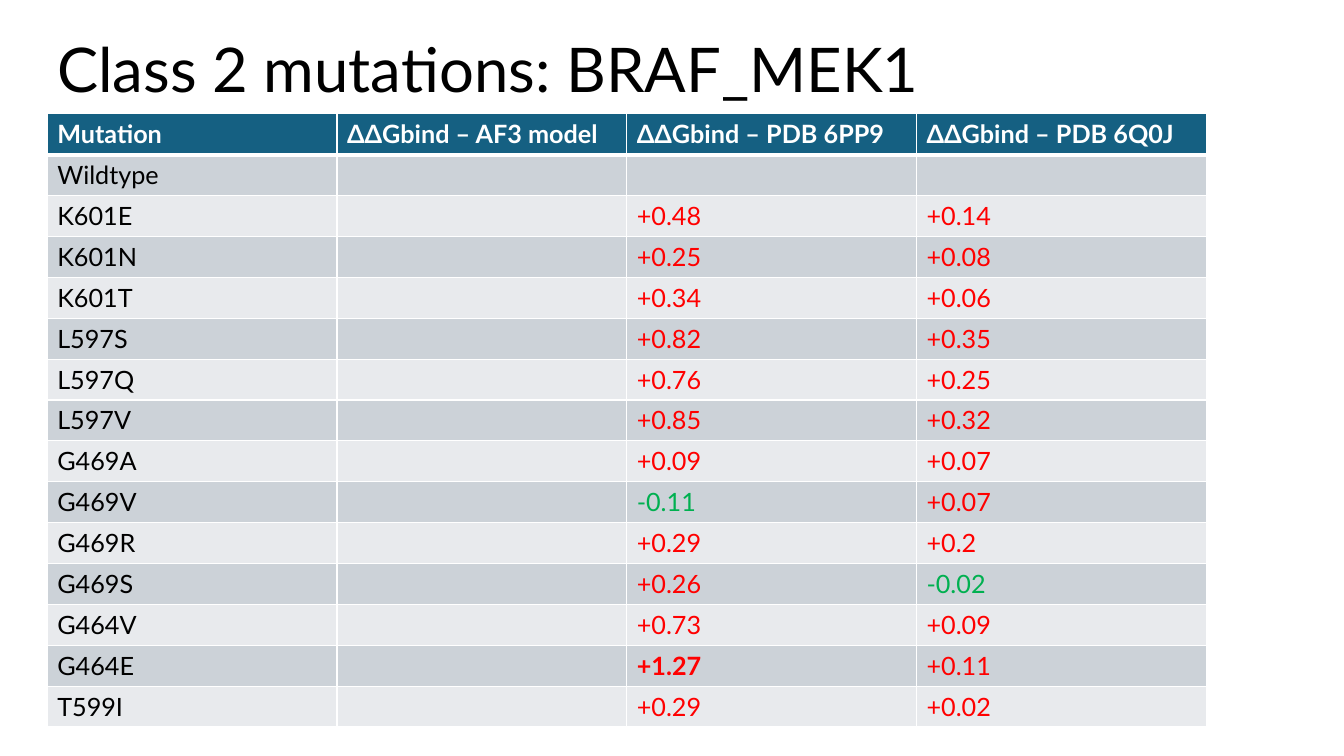
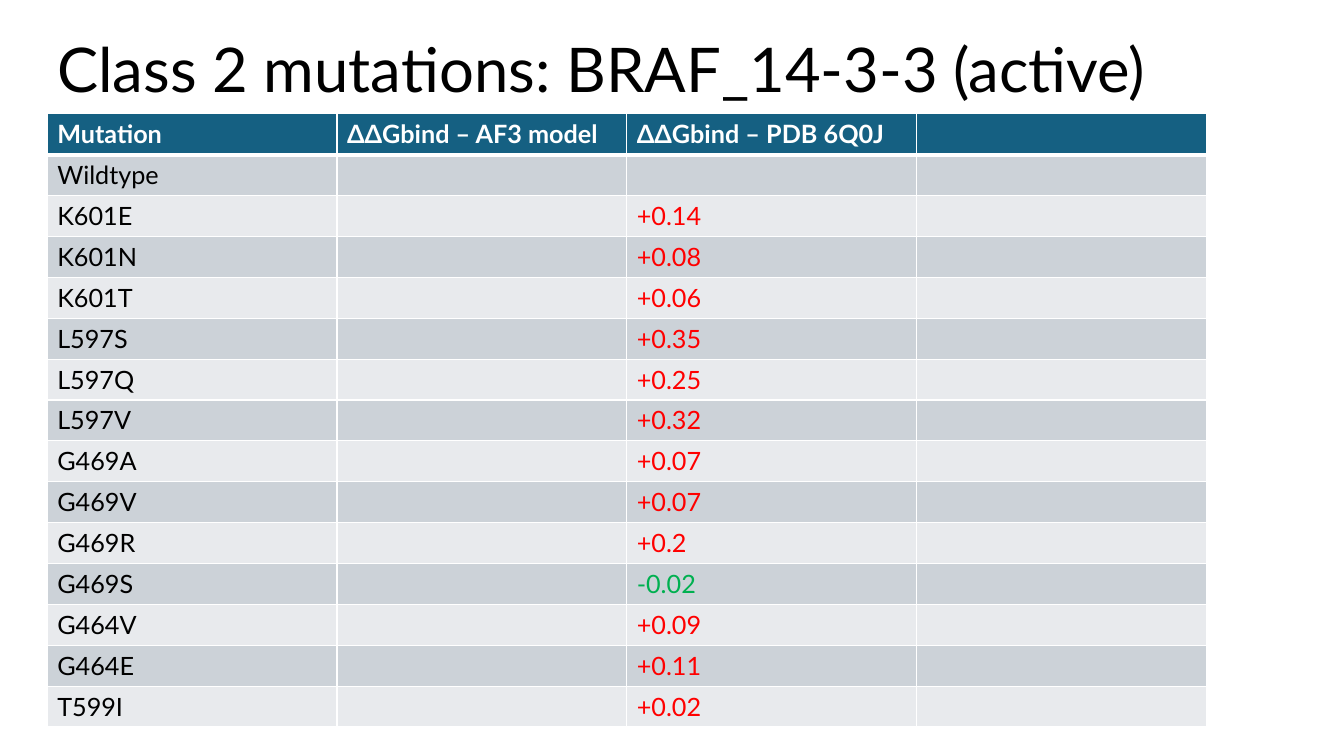
import dataclasses

import lxml.etree
import pptx
import pptx.dml.color
import pptx.enum.text
import pptx.oxml.ns
import pptx.util

Cm = pptx.util.Cm
Pt = pptx.util.Pt


@dataclasses.dataclass(frozen=True)
class Theme:
    font: str = "Lato"
    title_size: int = 44
    cell_size: int = 18
    text: str = "000000"
    white: str = "FFFFFF"
    header: str = "156082"
    bands: tuple = ("CCD2D8", "E8EAED")
    increase: str = "FF0000"
    decrease: str = "00B050"
    thin_line: int = 1
    header_line: int = 3


THEME = Theme()

# Shared layout, in centimetres
LEFT, WIDTH = 1.19, 29.21
TITLE_HEIGHT = 3.68
TABLE_TOP, ROW_HEIGHT = 2.87, 1.03
STRONG_EFFECT = 1.0

# Table content
MUTATIONS = ["K601E", "K601N", "K601T", "L597S", "L597Q", "L597V", "G469A",
             "G469V", "G469R", "G469S", "G464V", "G464E", "T599I"]
DDG_6PP9 = ["+0.48", "+0.25", "+0.34", "+0.82", "+0.76", "+0.85", "+0.09",
            "-0.11", "+0.29", "+0.26", "+0.73", "+1.27", "+0.29"]
DDG_6Q0J = ["+0.14", "+0.08", "+0.06", "+0.35", "+0.25", "+0.32", "+0.07",
            "+0.07", "+0.2", "-0.02", "+0.09", "+0.11", "+0.02"]
NO_VALUES = [""] * len(MUTATIONS)
AF3 = ("ΔΔGbind – AF3 model", NO_VALUES)
PDB_6PP9 = ("ΔΔGbind – PDB 6PP9", DDG_6PP9)
PDB_6Q0J = ("ΔΔGbind – PDB 6Q0J", DDG_6Q0J)
EMPTY_COLUMN = ("", NO_VALUES)

SLIDES = [
    ("Class 2 mutations: BRAF_MEK1", [AF3, PDB_6PP9, PDB_6Q0J]),
    ("Class 2 mutations: BRAF_14-3-3 (active)", [AF3, PDB_6Q0J, EMPTY_COLUMN]),
]


def rgb(value):
    return pptx.dml.color.RGBColor.from_string(value)


def add_run(p, text, size, color, bold=False):
    r = p.add_run()
    r.text = text
    r.font.name = THEME.font
    r.font.size = Pt(size)
    r.font.bold = bold
    r.font.color.rgb = rgb(color)


def add_title(s, text):
    sp = s.shapes.add_textbox(Cm(LEFT), Cm(0), Cm(WIDTH), Cm(TITLE_HEIGHT))
    tf = sp.text_frame
    tf.word_wrap = True
    tf.vertical_anchor = pptx.enum.text.MSO_ANCHOR.MIDDLE
    p = tf.paragraphs[0]
    p.line_spacing = 0.9
    add_run(p, text, THEME.title_size, THEME.text)


def set_borders(cell, top, bottom):
    qn = pptx.oxml.ns.qn
    tc_pr = cell._tc.get_or_add_tcPr()
    widths = {"L": THEME.thin_line, "R": THEME.thin_line, "T": top, "B": bottom}
    for side, width in widths.items():
        line = lxml.etree.SubElement(tc_pr, qn(f"a:ln{side}"), w=str(Pt(width)))
        fill = lxml.etree.SubElement(line, qn("a:solidFill"))
        lxml.etree.SubElement(fill, qn("a:srgbClr"), val=THEME.white)


def cell_style(text, row, column):
    """Return the text colour and weight for a table position."""
    if row == 0:
        return THEME.white, True
    if column == 0 or not text:
        return THEME.text, False
    color = THEME.decrease if text.startswith("-") else THEME.increase
    return color, abs(float(text)) >= STRONG_EFFECT


def fill_cell(cell, text, row, column):
    # The heavy rule lies between the header and the first body row
    set_borders(cell,
                top=THEME.header_line if row == 1 else THEME.thin_line,
                bottom=THEME.header_line if row == 0 else THEME.thin_line)
    cell.fill.solid()
    cell.fill.fore_color.rgb = rgb(
        THEME.header if row == 0 else THEME.bands[(row - 1) % 2])
    if text:
        color, bold = cell_style(text, row, column)
        add_run(cell.text_frame.paragraphs[0], text, THEME.cell_size, color, bold)


def add_mutation_table(s, value_columns):
    columns = [["Mutation", "Wildtype", *MUTATIONS]]
    columns += [[heading, "", *values] for heading, values in value_columns]
    rows = len(columns[0])
    table = s.shapes.add_table(rows, len(columns), Cm(LEFT), Cm(TABLE_TOP),
                               Cm(WIDTH), Cm(ROW_HEIGHT * rows)).table
    table.first_row = False
    table.horz_banding = False
    for column, texts in enumerate(columns):
        for row, text in enumerate(texts):
            fill_cell(table.cell(row, column), text, row, column)


def main():
    prs = pptx.Presentation()
    prs.slide_width, prs.slide_height = Cm(33.87), Cm(19.05)
    for title, value_columns in SLIDES:
        s = prs.slides.add_slide(prs.slide_layouts[6])
        add_title(s, title)
        add_mutation_table(s, value_columns)
    prs.save("out.pptx")


if __name__ == "__main__":
    main()
